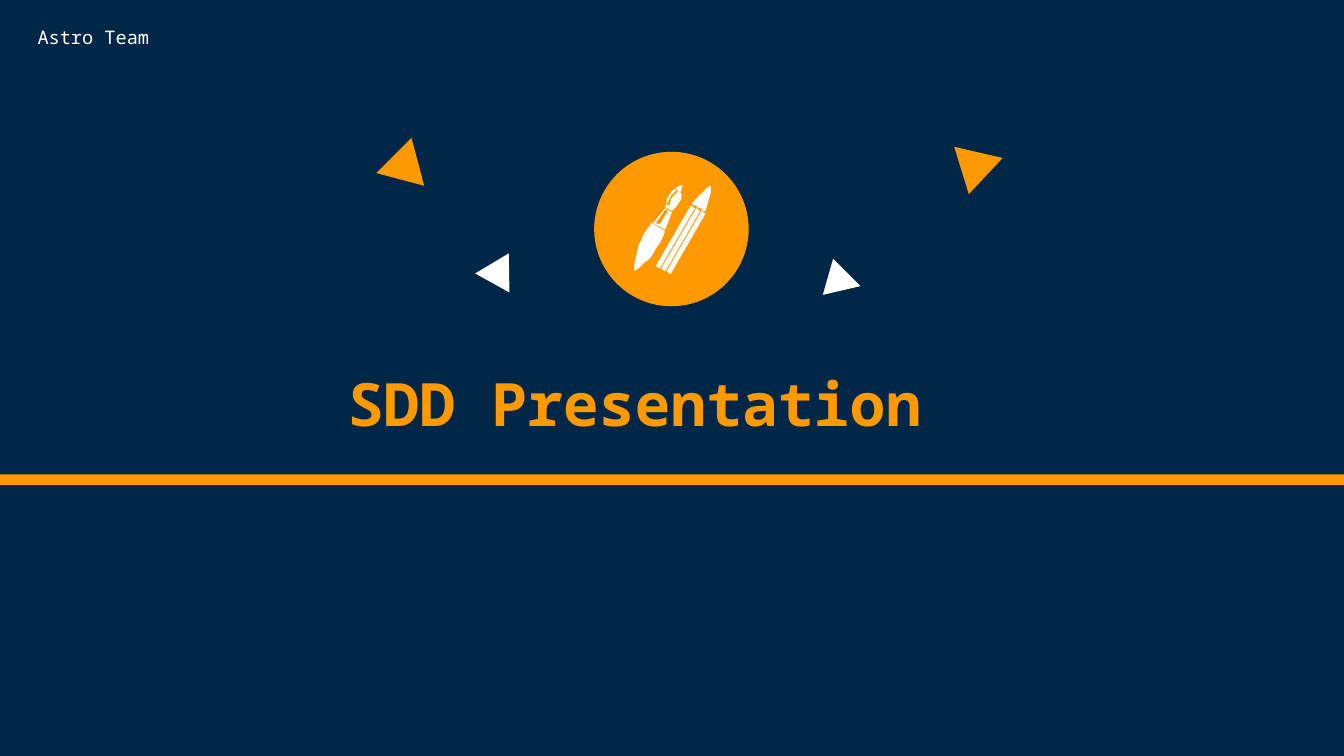
from pptx import Presentation
from pptx.dml.color import RGBColor
from pptx.enum.shapes import MSO_SHAPE
from pptx.enum.text import MSO_ANCHOR, MSO_AUTO_SIZE, PP_ALIGN
from pptx.util import Cm, Pt

RECT = MSO_SHAPE.RECTANGLE
OVAL = MSO_SHAPE.OVAL
TRIANGLE = MSO_SHAPE.ISOSCELES_TRIANGLE
JUSTIFY = PP_ALIGN.JUSTIFY
TOP = MSO_ANCHOR.TOP
FIT_SHAPE = MSO_AUTO_SIZE.SHAPE_TO_FIT_TEXT

NAVY, ORANGE, WHITE = "002748", "FF9900", "FFFFFF"
ICON_UNIT = Cm(0.0254)

BRUSH_HANDLE = [
    (485, 166), (495, 172), (493, 177), (491, 181), (488, 185), (486, 189),
    (483, 193), (479, 196), (476, 199), (472, 202), (472, 197), (473, 192),
    (474, 188), (475, 183), (477, 179), (479, 174), (482, 170),
]
BRUSH_HEAD = [
    (495, 154), (496, 151), (496, 149), (497, 147), (498, 145), (499, 144),
    (500, 142), (502, 141), (503, 140), (504, 139), (505, 139), (506, 138),
    (508, 138), (508, 139), (507, 139), (507, 142), (506, 143), (507, 144),
    (507, 148), (506, 150), (505, 151), (504, 153), (503, 154), (501, 156),
    (500, 157),
]
BRUSH_SHINE = [
    (503, 142), (503, 141), (504, 141), (504, 143), (502, 145), (500, 147),
    (499, 150), (498, 153), (497, 153), (496, 152), (498, 149), (499, 146),
    (501, 144),
]
FERRULE = [(486, 166), (495, 171), (500, 158), (495, 155)]
FERRULE_GAP = [(488, 166), (491, 167), (497, 157), (495, 156)]
PENCIL_LEAD = [
    (529, 143), (525, 141), (526, 140), (527, 139), (528, 139), (528, 138),
    (529, 139), (529, 142),
]
PENCIL_CONE = [
    (515, 151), (515, 152), (516, 153), (518, 153), (519, 154), (519, 155),
    (522, 155), (522, 156), (523, 157), (525, 157), (529, 143), (525, 141),
]
PENCIL_STRIPES = [
    [(x, y), (x + 26, y - 45), (x + 29, y - 43), (x + 3, y + 2)]
    for x, y in ((488 + 4 * i, 198 + 2 * i) for i in range(3))
]


def color(value):
    return RGBColor.from_string(value)


def write(sp, text, size=10, fill=WHITE, bold=False, font="Noto Sans Mono"):
    tf = sp.text_frame
    tf.word_wrap = True
    tf.auto_size = FIT_SHAPE
    tf.vertical_anchor = TOP
    p = tf.paragraphs[0]
    p.alignment = JUSTIFY
    r = p.add_run()
    r.text = text
    r.font.name = font
    r.font.size = Pt(size)
    r.font.bold = bold
    r.font.color.rgb = color(fill)


class Deck:
    def __init__(self, prs, background):
        self.s = prs.slides.add_slide(prs.slide_layouts[5])
        self.s.background.fill.solid()
        self.s.background.fill.fore_color.rgb = color(background)

    def paint(self, sp, fill):
        sp.shadow.inherit = False
        sp.fill.solid()
        sp.fill.fore_color.rgb = color(fill)
        sp.line.fill.background()

    def title(self, box, text, **style):
        sp = self.s.shapes.title
        sp.left, sp.top, sp.width, sp.height = map(Cm, box)
        write(sp, text, **style)

    def text(self, box, text, **style):
        write(self.s.shapes.add_textbox(*map(Cm, box)), text, **style)

    def shape(self, kind, box, fill, rotation=0):
        sp = self.s.shapes.add_shape(kind, *map(Cm, box))
        sp.rotation = rotation
        self.paint(sp, fill)

    def outline(self, contours, fill):
        builder = self.s.shapes.build_freeform(*contours[0][0], scale=ICON_UNIT)
        builder.add_line_segments(contours[0][1:], close=True)
        for contour in contours[1:]:
            builder.move_to(*contour[0])
            builder.add_line_segments(contour[1:], close=True)
        self.paint(builder.convert_to_shape(), fill)


def main():
    prs = Presentation()
    prs.slide_width, prs.slide_height = Cm(25.4), Cm(14.29)
    deck = Deck(prs, NAVY)

    deck.title((6.32, 6.81, 12.78, 1.63), "SDD Presentation",
               size=32, fill=ORANGE, bold=True)
    deck.shape(RECT, (-0.03, 8.97, 25.43, 0.2), ORANGE)
    deck.text((0.46, 0.36, 3.35, 0.69), "Astro Team")

    deck.shape(OVAL, (11.23, 2.87, 2.92, 2.92), ORANGE)
    deck.outline([BRUSH_HANDLE, *PENCIL_STRIPES, PENCIL_LEAD, PENCIL_CONE,
                  BRUSH_HEAD, BRUSH_SHINE, FERRULE, FERRULE_GAP], WHITE)

    for left, top, width, height, rotation, fill in (
        (7.26, 2.82, 0.94, 0.81, 135, ORANGE),
        (9.09, 4.75, 0.74, 0.64, 29, WHITE),
        (17.93, 2.87, 0.94, 0.81, 193, ORANGE),
        (15.6, 5, 0.71, 0.64, 106, WHITE),
    ):
        deck.shape(TRIANGLE, (left, top, width, height), fill, rotation)

    prs.save("out.pptx")


if __name__ == "__main__":
    main()
